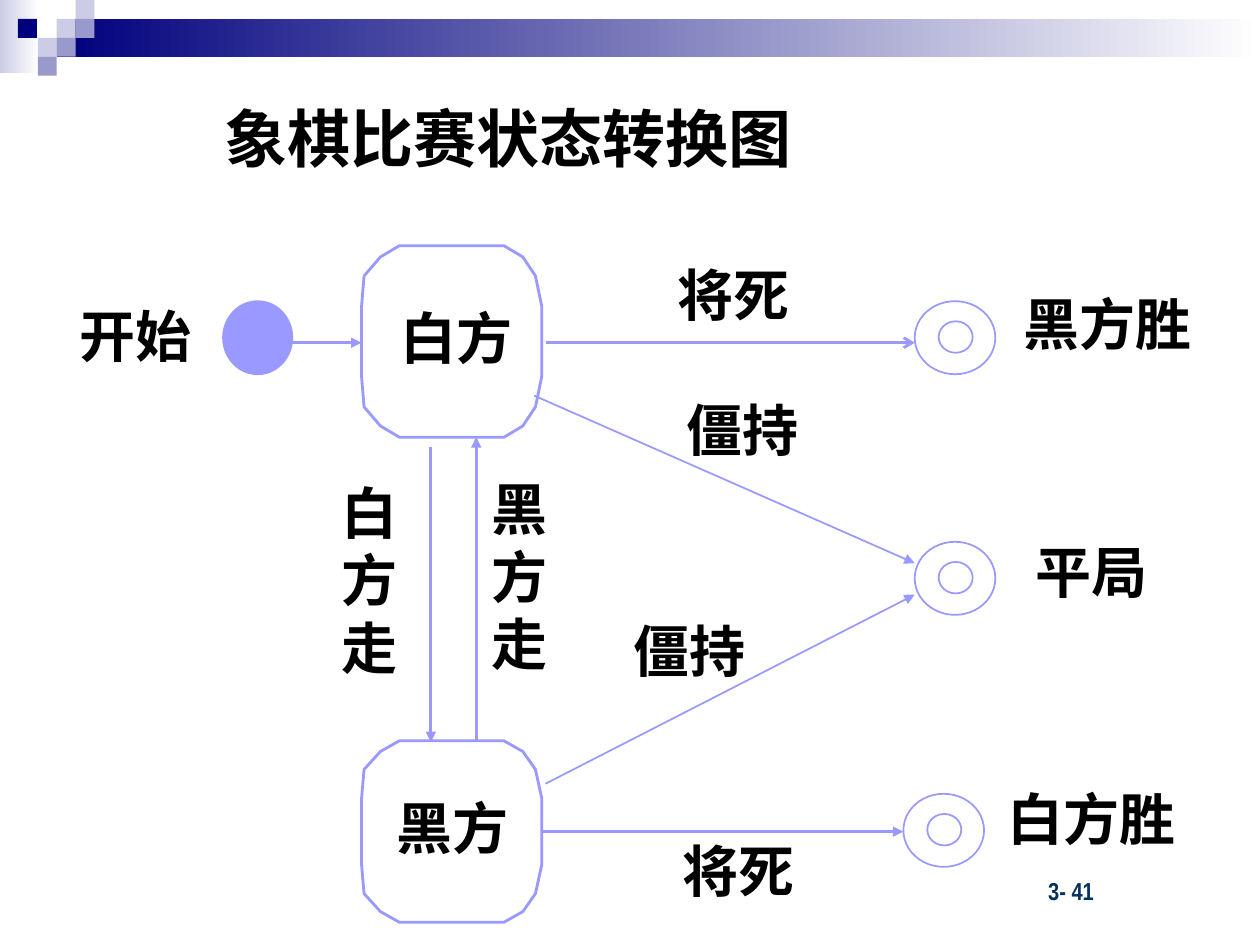
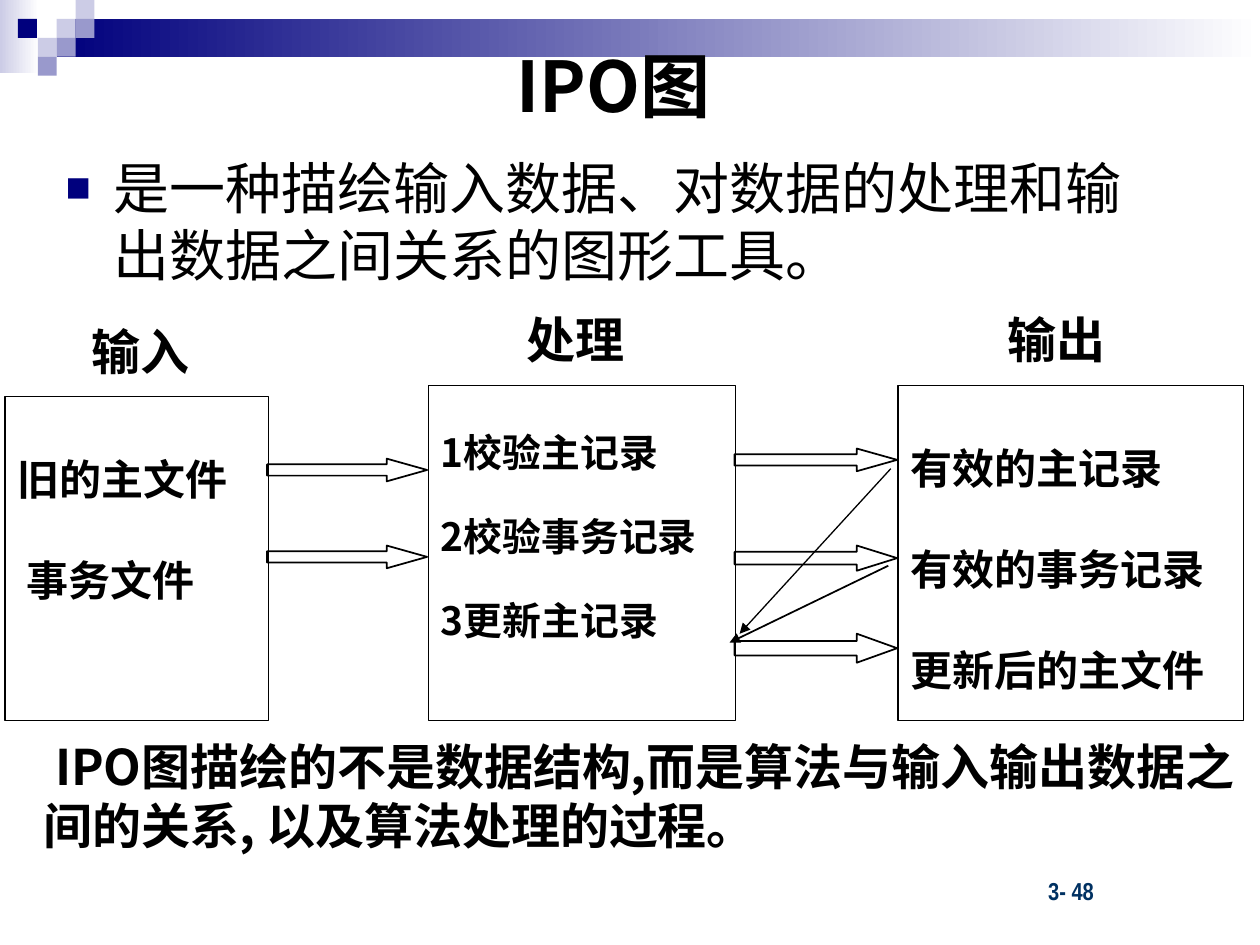
from dataclasses import dataclass

from lxml import etree
from pptx import Presentation
from pptx.dml.color import RGBColor
from pptx.enum.shapes import MSO_CONNECTOR, MSO_SHAPE
from pptx.enum.text import MSO_ANCHOR, MSO_AUTO_SIZE, PP_ALIGN
from pptx.oxml.ns import qn
from pptx.util import Inches, Pt

RECT, OVAL, BLOCK_ARROW = MSO_SHAPE.RECTANGLE, MSO_SHAPE.OVAL, MSO_SHAPE.RIGHT_ARROW
STRAIGHT = MSO_CONNECTOR.STRAIGHT
LEFT, CENTER = PP_ALIGN.LEFT, PP_ALIGN.CENTER
TOP, MIDDLE = MSO_ANCHOR.TOP, MSO_ANCHOR.MIDDLE
NO_FIT = MSO_AUTO_SIZE.NONE


@dataclass(frozen=True)
class Theme:
    navy: str = "00007D"
    mid: str = "9999CC"
    pale: str = "CCCCE6"
    white: str = "FFFFFF"
    black: str = "000000"
    number: str = "003162"
    state: str = "9999FF"
    cjk: str = "Noto Sans CJK SC"
    latin: str = "Arial"
    narrow: str = "Arial Narrow"
    title_size: float = 40
    subtitle_size: float = 36
    body_size: float = 32
    heading_size: float = 28
    box_size: float = 24
    small_box_size: float = 22.2
    number_size: float = 14
    thin: float = 0.75
    normal: float = 1
    thick: float = 1.62
    line_height: float = 1.2


T = Theme()


# ---- helpers ----
def rgb(value):
    return RGBColor.from_string(value)


def emu(*lengths):
    return [Inches(v) for v in lengths]


def write(p, text, size, color=T.black, font=T.cjk, bold=True):
    r = p.add_run()
    r.text = text
    r.font.color.rgb = rgb(color)
    for name, value in {"size": Pt(size), "bold": bold, "name": font}.items():
        setattr(r.font, name, value)
    etree.SubElement(r.font.element if hasattr(r.font, "element") else r._r.get_or_add_rPr(),
                     qn("a:ea"), typeface=T.cjk)


def set_frame(tf, inset=(0.1, 0.05), anchor=TOP, top=None):
    x, y = emu(*inset)
    values = {"margin_left": x, "margin_right": x, "margin_bottom": y,
              "margin_top": y if top is None else Inches(top),
              "word_wrap": True, "auto_size": NO_FIT, "vertical_anchor": anchor}
    for name, value in values.items():
        setattr(tf, name, value)


def indent(p, margin, first):
    pPr = p._p.get_or_add_pPr()
    pPr.set("marL", str(Inches(margin)))
    pPr.set("indent", str(Inches(first)))
    return pPr


def add_label(s, text, box, size, align=LEFT, inset=(0.1, 0.05), first=0, **style):
    tf = s.shapes.add_textbox(*emu(*box)).text_frame
    set_frame(tf, inset)
    p = tf.paragraphs[0]
    p.alignment = align
    if first:
        indent(p, 0, first)
    write(p, text, size, **style)


def paint(sp, fill=None, line=None, width=T.normal):
    sp.shadow.inherit = False
    if isinstance(fill, tuple):
        sp.fill.gradient()
        sp.fill.gradient_angle = 0
        for stop, color in zip(sp.fill.gradient_stops, fill):
            stop.color.rgb = rgb(color)
    elif fill:
        sp.fill.solid()
        sp.fill.fore_color.rgb = rgb(fill)
    else:
        sp.fill.background()
    if line:
        sp.line.color.rgb = rgb(line)
        sp.line.width = Pt(width)
    else:
        sp.line.fill.background()


def add_shape(s, kind, box, **look):
    sp = s.shapes.add_shape(kind, *emu(*box))
    paint(sp, **look)
    return sp


def add_arrow(s, start, end, color, width, tip="triangle"):
    c = s.shapes.add_connector(STRAIGHT, *emu(*start, *end))
    c.line.color.rgb = rgb(color)
    c.line.width = Pt(width)
    etree.SubElement(c.line._get_or_add_ln(), qn("a:tailEnd"), type=tip)
    etree.SubElement(c._element.spPr, qn("a:effectLst"))


def place(sp, box):
    sp.left, sp.top, sp.width, sp.height = emu(*box)


def set_title(s, text, box, size, anchor, font):
    title = s.shapes.title
    place(title, box)
    set_frame(title.text_frame, anchor=anchor)
    p = title.text_frame.paragraphs[0]
    p.alignment = CENTER
    write(p, text, size, font=font)
    s.shapes.element.append(title.element)  # in front of the band


# ---- shared band and page number ----
def add_band(s, number):
    add_shape(s, RECT, (0, 0, 0.31, 0.58), fill=(T.pale, T.white))
    add_shape(s, RECT, (0.45, 0.15, 9.55, 0.3), fill=(T.navy, T.white))
    tile = 0.15
    tiles = [(3, 1, T.pale), (4, 0, T.pale), (4, 1, T.mid), (2, 2, T.pale),
             (0.95, 1, T.navy), (3, 2, T.mid), (2, 3, T.mid)]
    for col, row, color in tiles:
        add_shape(s, RECT, (col * tile, row * tile, tile, tile), fill=color)
    add_label(s, f"3- {number}", (8.22, 6.9, 1.14, 0.33), T.number_size,
              color=T.number, font=T.narrow)


# ---- state diagram ----
def add_state(s, x, y, w, h):
    left = [(0, 0.316), (0.02, 0.158), (0.15, 0.059), (0.3, 0)]
    right = [(0.3, 0), (0.15, 0.059), (0.05, 0.158), (0, 0.316)]
    upper = [(x + dx, y + f * h) for dx, f in left]
    upper += [(x + w - dx, y + f * h) for dx, f in right]
    lower = [(px, 2 * y + h - py) for px, py in reversed(upper)]
    first, *rest = [emu(*pt) for pt in upper + lower]
    fb = s.shapes.build_freeform(*first, scale=1)
    fb.add_line_segments(rest, close=True)
    paint(fb.convert_to_shape(), line=T.state, width=T.thick)


def add_end_state(s, x, y):
    for box in [(x + 0.19, y + 0.16, 0.27, 0.25), (x, y, 0.64, 0.58)]:
        add_shape(s, OVAL, box, line=T.state)


def state_diagram(s, left, top):
    # States
    add_state(s, left + 2.37, top, 1.43, 1.52)
    add_state(s, left + 2.37, top + 3.93, 1.43, 1.44)
    add_shape(s, OVAL, (left + 1.27, top + 0.44, 0.55, 0.58), fill=T.state, line=T.state)
    for x, y in [(6.76, 0.44), (6.76, 2.35), (6.67, 4.35)]:
        add_end_state(s, left + x, top + y)

    # Transitions
    transitions = [
        (1.82, 0.77, 2.37, 0.77, T.thick, "triangle"),
        (3.28, 3.93, 3.28, 1.52, T.thick, "triangle"),
        (2.92, 1.6, 2.92, 3.94, T.thick, "triangle"),
        (3.83, 0.77, 6.76, 0.77, T.thick, "arrow"),
        (3.8, 4.65, 6.67, 4.65, T.thick, "triangle"),
        (3.83, 4.27, 6.76, 2.77, T.normal, "triangle"),
        (3.74, 1.19, 6.76, 2.52, T.normal, "triangle"),
    ]
    for x1, y1, x2, y2, width, tip in transitions:
        add_arrow(s, (left + x1, top + y1), (left + x2, top + y2), T.state, width, tip)

    # Names of states and transitions; the narrow ones run downwards
    row, column = 0.53, 1.6
    labels = [
        ("开始", 0, 0.44, 1.16, row), ("白方", 2.57, 0.46, 1.1, row),
        ("黑方", 2.54, 4.35, 1.1, row), ("将死", 4.7, 0.12, 1.24, row),
        ("僵持", 4.75, 1.19, 1.28, row), ("僵持", 4.29, 2.94, 1.37, row),
        ("将死", 4.7, 4.69, 1.33, row), ("黑方胜", 7.35, 0.35, 1.88, row),
        ("平局", 7.49, 2.32, 1.34, row), ("白方胜", 7.22, 4.28, 1.88, row),
        ("白方走", 2.13, 1.85, 0.6, column), ("黑方走", 3.32, 1.82, 0.6, column),
    ]
    for text, x, y, w, h in labels:
        add_label(s, text, (left + x, top + y, w, h), T.body_size, CENTER, (0, 0))


# ---- IPO chart ----
def add_ipo_box(s, box, lines, size, width, spacing=1.0):
    sp = add_shape(s, RECT, box, line=T.black, width=width)
    tf = sp.text_frame
    gap = size * T.line_height * spacing  # one line of space above each entry
    set_frame(tf, top=0.05 + gap / 72)
    for i, (text, first) in enumerate(lines):
        p = tf.paragraphs[0] if i == 0 else tf.add_paragraph()
        p.alignment = LEFT
        p.line_spacing = spacing
        p.space_before = Pt(round(gap) if i else 0)
        indent(p, 0, first)
        write(p, text, size)


def ipo_chart(s, left, top):
    # Columns
    columns = [
        ("输入", (0.59, 0.09, 1.33), (0, 0.74, 2.09, 2.57), T.box_size, T.thin, 1.0,
         [("旧的主文件", 0), ("事务文件", 0.07)]),
        ("处理", (4.04, 0, 1.46), (3.36, 0.65, 2.44, 2.66), T.small_box_size, T.thin, 0.9,
         [("1校验主记录", 0), ("2校验事务记录", 0), ("3更新主记录", 0)]),
        ("输出", (7.86, 0, 1.31), (7.09, 0.65, 2.74, 2.66), T.box_size, T.normal, 1.0,
         [("有效的主记录", 0), ("有效的事务记录", 0), ("更新后的主文件", 0)]),
    ]
    for heading, (hx, hy, hw), (x, y, w, h), size, width, spacing, lines in columns:
        add_ipo_box(s, (left + x, top + y, w, h), lines, size, width, spacing)
        add_label(s, heading, (left + hx, top + hy, hw, 0.57), T.heading_size)

    # Block arrows, all with the same head length
    head = 0.32
    flows = [(2.08, 1.23, 1.27, 0.18), (2.08, 1.92, 1.27, 0.18),
             (5.79, 1.15, 1.29, 0.18), (5.79, 1.92, 1.29, 0.2), (5.79, 2.62, 1.29, 0.23)]
    for x, y, w, h in flows:
        sp = add_shape(s, BLOCK_ARROW, (left + x, top + y, w, h), line=T.black)
        sp.adjustments[1] = head / h

    # Valid records fed back to the update step
    for x1, y1, x2, y2, width in [(7.03, 1.31, 5.83, 2.62, T.thin),
                                  (7.01, 2.08, 5.75, 2.69, T.normal)]:
        add_arrow(s, (left + x1, top + y1), (left + x2, top + y2), T.black, width)


def set_body(s, text, box):
    body = s.placeholders[1]
    place(body, box)
    set_frame(body.text_frame)
    p = body.text_frame.paragraphs[0]
    p.alignment = LEFT
    p.space_before = Pt(0)
    pPr = indent(p, 0.38, -0.38)
    color = etree.SubElement(pPr, qn("a:buClr"))
    etree.SubElement(color, qn("a:srgbClr"), val=T.navy)
    etree.SubElement(pPr, qn("a:buSzPct"), val="75000")
    etree.SubElement(pPr, qn("a:buFont"), typeface=T.latin)
    etree.SubElement(pPr, qn("a:buChar"), char="■")
    write(p, text, T.body_size, font=T.latin, bold=False)


# ---- slides ----
def chess_slide(prs):
    s = prs.slides.add_slide(prs.slide_layouts[5])
    add_band(s, 41)
    state_diagram(s, 0.5, 1.95)
    set_title(s, "象棋比赛状态转换图", (1.07, 0.74, 5.92, 0.7), T.subtitle_size, TOP, T.latin)


def ipo_slide(prs):
    s = prs.slides.add_slide(prs.slide_layouts[1])
    add_band(s, 48)
    set_title(s, "IPO图", (0.62, 0.17, 8.5, 1), T.title_size, MIDDLE, T.cjk)
    set_body(s, "是一种描绘输入数据、对数据的处理和输出数据之间关系的图形工具。",
             (0.42, 1.17, 8.92, 1.25))
    ipo_chart(s, 0.04, 2.41)
    add_label(s, "IPO图描绘的不是数据结构,而是算法与输入输出数据之间的关系, 以及算法处理的过程。",
              (0.25, 5.8, 9.67, 1.04), T.heading_size, first=0.09)


def main():
    prs = Presentation()
    prs.slide_width, prs.slide_height = emu(10, 7.5)
    chess_slide(prs)
    ipo_slide(prs)
    prs.save("out.pptx")


if __name__ == "__main__":
    main()
